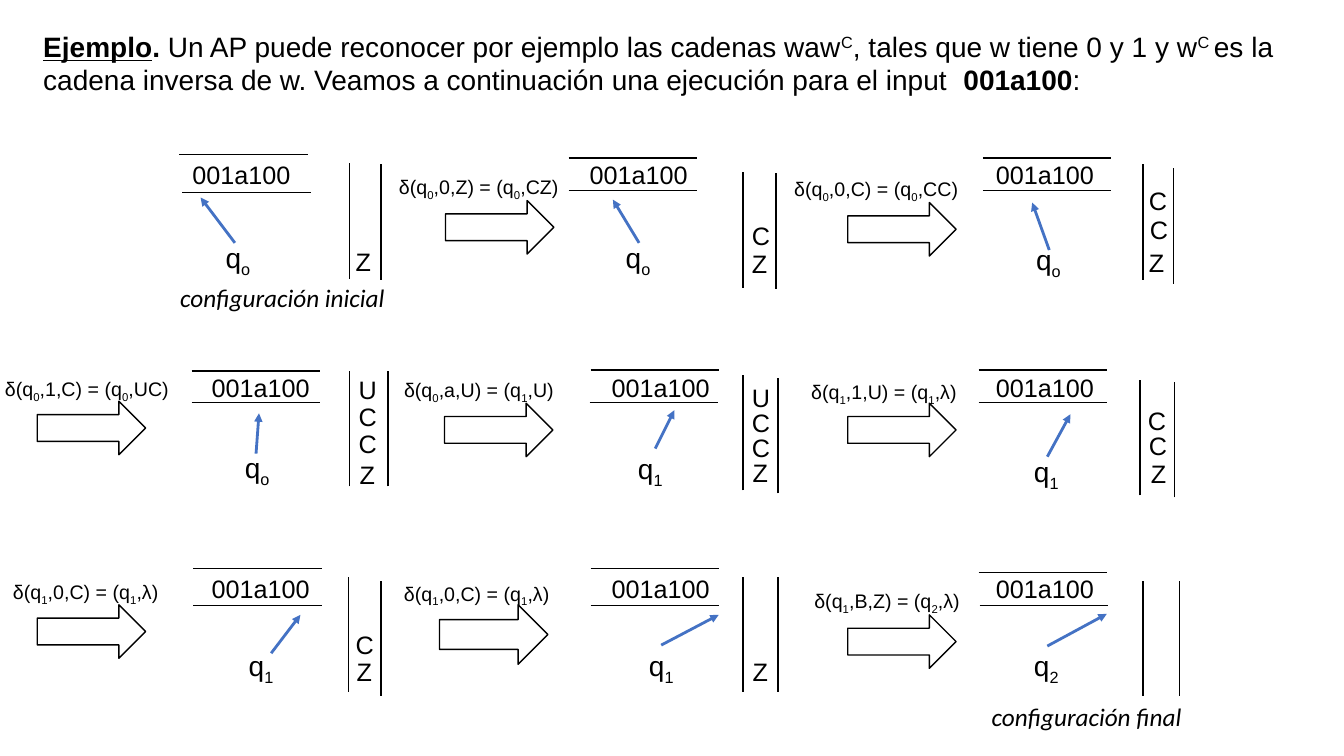
from dataclasses import dataclass
from typing import Optional

from lxml import etree
from pptx import Presentation
from pptx import util as u
from pptx.dml import color
from pptx.enum import shapes, text
from pptx.oxml import ns

Spot = tuple[float, float]


@dataclass(frozen=True)
class Theme:
    ink: str = "000000"
    blue: str = "4472C4"
    sans: str = "Arial"
    note: str = "Calibri"
    head: float = 20
    body: float = 18
    small: float = 14
    thin: float = 1
    thick: float = 2
    low: int = -25000
    high: int = 30000


@dataclass(frozen=True)
class Run:
    text: str
    shift: int = 0
    bold: bool = False
    under: bool = False
    slant: bool = False


@dataclass(frozen=True)
class Rule:
    spot: Spot
    start: str
    read: str
    goal: str
    push: str
    arrow: Spot
    wide: float = 134
    tall: float = 38.2


@dataclass(frozen=True)
class Step:
    tape: Spot
    top: Spot
    base: Spot
    state: Spot
    sub: str
    tail: Spot
    tip: Spot
    left: Spot
    right: Spot
    stack: tuple[tuple[str, float, float], ...]
    rule: Optional[Rule] = None


THEME = Theme()
INPUT = "001a100"
TAPE_LEN = 91.8
WALL_LEN = 82.4

TITLE = [
    Run("Ejemplo", bold=True, under=True),
    Run(".", bold=True),
    Run(" Un AP puede reconocer por ejemplo las cadenas waw"),
    Run("C", THEME.high),
    Run(", tales que w tiene 0 y 1 y w"),
    Run("C ", THEME.high),
    Run("es la cadena inversa de w. Veamos a continuación una ejecución para el input  "),
    Run(INPUT, bold=True),
    Run(":"),
]

STEPS = [
    Step((130.3, 110.2), (128.2, 110.2), (130.3, 137.5), (154.1, 168.5), "o",
         (167.8, 173.5), (143.3, 141.1), (249.8, 116.6), (272.2, 117.4),
         (("Z", 247, 172.1),)),
    Step((414, 110.2), (406.1, 113), (406.1, 136.1), (439.9, 168.5), "o",
         (456.5, 173.5), (437.8, 142.6), (530.6, 123.1), (554.4, 123.8),
         (("C", 529.9, 154.1), ("Z", 529.9, 173.5)),
         Rule((277.9, 121.7), "0", "0,Z", "0", "CZ", (318.2, 143.3), wide=192.2)),
    Step((704.2, 110.2), (702, 113), (702, 136.1), (733, 169.9), "o",
         (749.5, 178.6), (737.3, 144.7), (816.5, 117.4), (838.1, 120.2),
         (("C", 813.6, 128.9), ("C", 814.3, 149.8), ("Z", 813.6, 172.8)),
         Rule((560.2, 123.1), "0", "0,C", "0", "CC", (605.5, 144.7))),
    Step((144, 262.1), (136.8, 265), (136.8, 287.3), (167.8, 318.2), "o",
         (182.9, 324), (185, 295.2), (249.8, 265), (277.2, 265),
         (("U", 249.1, 263.5), ("C", 249.1, 283), ("C", 249.1, 302.4), ("Z", 249.8, 324.7)),
         Rule((-3.6, 265.7), "0", "1,C", "0", "UC", (26.6, 286.6))),
    Step((429.8, 262.1), (421.9, 264.2), (421.2, 287.3), (448.6, 319), "1",
         (468, 320.4), (481.7, 293), (530.6, 267.8), (555.8, 270),
         (("U", 529.9, 269.3), ("C", 529.9, 287.3), ("C", 529.9, 305.3), ("Z", 530.6, 323.3)),
         Rule((281.5, 266.4), "0", "a,U", "1", "U", (317.5, 288), wide=123.1)),
    Step((704.2, 262.1), (699.1, 264.2), (699.1, 287.3), (731.5, 321.1), "1",
         (748.1, 326.2), (764.6, 295.9), (814.3, 271.4), (838.8, 272.9),
         (("C", 812.9, 285.8), ("C", 813.6, 303.8), ("Z", 815, 324)),
         Rule((572.4, 267.8), "1", "1,U", "1", "λ", (605.5, 288), wide=120.2)),
    Step((144, 406.1), (138.2, 406.1), (138.2, 432.7), (170.6, 459.4), "1",
         (193.7, 466.6), (214.6, 439.2), (249.1, 411.8), (272.2, 414.7),
         (("C", 247, 445.7), ("Z", 247.7, 465.1)),
         Rule((2.2, 410.4), "1", "0,C", "1", "λ", (26.6, 432), wide=120.2)),
    Step((429.8, 406.1), (421.9, 406.1), (421.9, 432.7), (456.5, 459.4), "1",
         (472.3, 460.8), (513.4, 439.2), (530.6, 411.8), (555.8, 411.8),
         (("Z", 530.6, 465.1),),
         Rule((281.5, 411.8), "1", "0,C", "1", "λ", (313.9, 432), wide=120.2, tall=42.5)),
    Step((704.2, 406.1), (699.1, 409), (699.8, 432.7), (731.5, 459.4), "2",
         (748.1, 461.5), (790.6, 438.5), (816.5, 414.7), (842.4, 414.7),
         (),
         Rule((574.6, 416.9), "1", "B,Z", "2", "λ", (605.5, 439.2), wide=120.2)),
]


def write(slide, spot: Spot, wide: float, tall: float, runs: list[Run],
          size: float, face: str = THEME.sans, wrap: bool = False) -> None:
    box = slide.shapes.add_textbox(*map(u.Pt, (*spot, wide, tall)))
    frame = box.text_frame
    frame.word_wrap = wrap
    frame.auto_size = text.MSO_AUTO_SIZE.SHAPE_TO_FIT_TEXT
    line = frame.paragraphs[0]
    for part in runs:
        run = line.add_run()
        run.text = part.text
        font = run.font
        font.name, font.size = face, u.Pt(size)
        font.bold, font.underline, font.italic = part.bold, part.under, part.slant
        font.color.rgb = color.RGBColor.from_string(THEME.ink)
        if part.shift:
            run._r.get_or_add_rPr().set("baseline", str(part.shift))


def rule_line(slide, start: Spot, end: Spot, ink: str = THEME.ink,
              width: float = THEME.thin, tip: bool = False) -> None:
    line = slide.shapes.add_connector(
        shapes.MSO_CONNECTOR.STRAIGHT, *map(u.Pt, (*start, *end)))
    line.line.color.rgb = color.RGBColor.from_string(ink)
    line.line.width = u.Pt(width)
    if tip:
        etree.SubElement(line.line._get_or_add_ln(), ns.qn("a:tailEnd"), type="triangle")
    etree.SubElement(line._element.spPr, ns.qn("a:effectLst"))


def draw_rule(slide, rule: Rule) -> None:
    runs = [Run("δ(q"), Run(rule.start, THEME.low), Run(f",{rule.read}) = (q"),
            Run(rule.goal, THEME.low), Run(f",{rule.push})")]
    write(slide, rule.spot, rule.wide, 24.2, runs, THEME.small)
    arrow = slide.shapes.add_shape(
        shapes.MSO_SHAPE.RIGHT_ARROW, *map(u.Pt, (*rule.arrow, 77.4, rule.tall)))
    arrow.shadow.inherit = False
    arrow.fill.background()
    arrow.line.color.rgb = color.RGBColor.from_string(THEME.ink)
    arrow.line.width = u.Pt(THEME.thin)


def draw_step(slide, step: Step) -> None:
    write(slide, step.tape, 90, 29, [Run(INPUT)], THEME.body)
    for x, y in (step.top, step.base):
        rule_line(slide, (x, y), (x + TAPE_LEN, y))
    for x, y in (step.left, step.right):
        rule_line(slide, (x, y + WALL_LEN), (x, y))
    for sign, x, y in step.stack:
        write(slide, (x, y), 27, 29, [Run(sign)], THEME.body)
    write(slide, step.state, 33, 31.5, [Run("q"), Run(step.sub, THEME.low)], THEME.head)
    rule_line(slide, step.tail, step.tip, THEME.blue, THEME.thick, tip=True)
    if step.rule:
        draw_rule(slide, step.rule)


def main() -> None:
    deck = Presentation()
    deck.slide_width, deck.slide_height = u.Pt(960), u.Pt(540)
    slide = deck.slides.add_slide(deck.slide_layouts[6])
    write(slide, (23.8, 17.3), 912.2, 143.3, TITLE, THEME.head, wrap=True)
    for step in STEPS:
        draw_step(slide, step)
    for label, spot in (("inicial", (121.7, 198)), ("final", (701.3, 497.5))):
        write(slide, spot, 180.4, 29, [Run(f"configuración {label}", slant=True)],
              THEME.body, THEME.note, wrap=True)
    deck.save("out.pptx")


if __name__ == "__main__":
    main()
